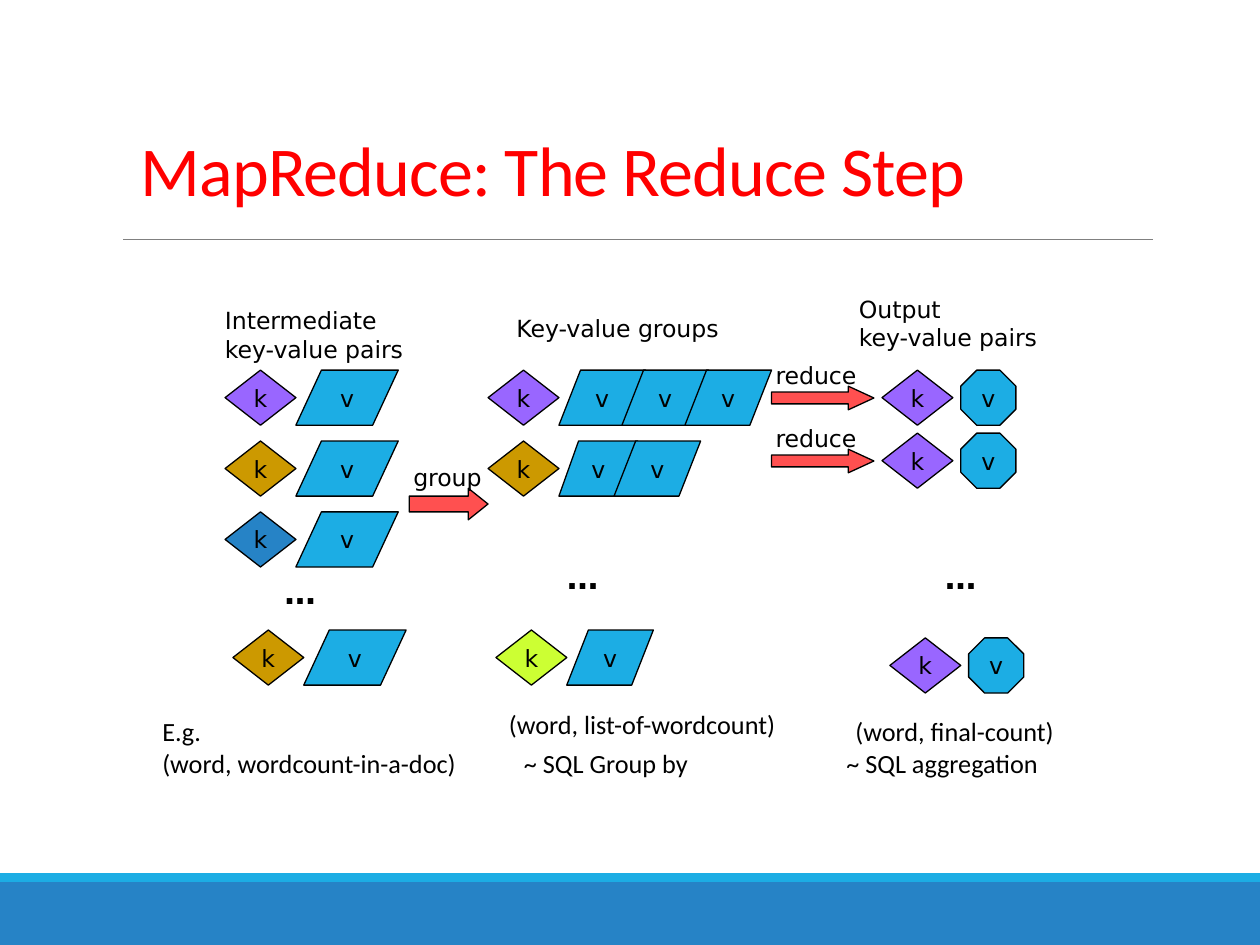
from dataclasses import dataclass

from lxml import etree
from pptx import Presentation
from pptx.dml.color import RGBColor
from pptx.enum.shapes import MSO_CONNECTOR, MSO_SHAPE
from pptx.enum.text import MSO_ANCHOR, MSO_AUTO_SIZE, PP_ALIGN
from pptx.oxml.ns import qn
from pptx.util import Pt

RECT = MSO_SHAPE.RECTANGLE
DIAMOND = MSO_SHAPE.DIAMOND
SLANT = MSO_SHAPE.PARALLELOGRAM
OCTAGON = MSO_SHAPE.OCTAGON
ARROW = MSO_SHAPE.RIGHT_ARROW
STRAIGHT = MSO_CONNECTOR.STRAIGHT
CENTER = PP_ALIGN.CENTER
MIDDLE, BOTTOM = MSO_ANCHOR.MIDDLE, MSO_ANCHOR.BOTTOM
GROW = MSO_AUTO_SIZE.SHAPE_TO_FIT_TEXT


@dataclass(frozen=True)
class Theme:
    blue: str = "2683C6"
    cyan: str = "1CADE4"
    purple: str = "9966FF"
    gold: str = "CC9900"
    lime: str = "CCFF33"
    coral: str = "FF5050"
    red: str = "FF0000"
    black: str = "000000"
    gray: str = "808080"
    body_font: str = "Calibri"
    diagram_font: str = "DejaVu Sans"
    title_size: float = 40
    dots_size: float = 18
    note_size: float = 15
    label_size: float = 13.5


class Slide:
    def __init__(self, s, theme):
        self.s, self.theme = s, theme
        self.label_style = dict(name=theme.diagram_font, size=Pt(theme.label_size))
        self.dots_style = dict(name=theme.diagram_font, size=Pt(theme.dots_size), bold=True)
        self.note_style = dict(name=theme.body_font, size=Pt(theme.note_size))
        self.title_style = dict(name=theme.body_font, size=Pt(theme.title_size))

    def fill_text(self, tf, lines, style, color, **paragraph):
        for i, line in enumerate(lines.split("\n")):
            p = tf.paragraphs[0] if i == 0 else tf.add_paragraph()
            for key, value in paragraph.items():
                setattr(p, key, value)
            r = p.add_run()
            r.text = line
            for key, value in style.items():
                setattr(r.font, key, value)
            r.font.color.rgb = RGBColor.from_string(color)

    def shape(self, kind, x, y, w, h, fill, text="", adj=(), outline=True):
        sp = self.s.shapes.add_shape(kind, Pt(x), Pt(y), Pt(w), Pt(h))
        sp.shadow.inherit = False
        sp.fill.solid()
        sp.fill.fore_color.rgb = RGBColor.from_string(fill)
        if outline:
            sp.line.color.rgb = RGBColor.from_string(self.theme.black)
            sp.line.width = Pt(0.75)
        else:
            sp.line.fill.background()
        for i, value in enumerate(adj):
            sp.adjustments[i] = value
        if text:
            tf = sp.text_frame
            tf.word_wrap, tf.vertical_anchor = False, MIDDLE
            self.fill_text(tf, text, self.label_style, self.theme.black, alignment=CENTER)

    def key(self, x, y, fill):
        self.shape(DIAMOND, x, y, 40.5, 31.5, fill, "k")

    def value(self, x, y, w):
        self.shape(SLANT, x, y, w, 31.5, self.theme.cyan, "v", [w / 126])

    def result(self, x, y):
        self.key(x, y, self.theme.purple)
        self.shape(OCTAGON, x + 45, y, 31.5, 31.5, self.theme.cyan, "v", [0.29])

    def arrow(self, x, y, w, h, text, label_w):
        self.shape(ARROW, x, y, w, h, self.theme.coral, adj=[0.5, w / h / 4])
        self.text(text, x - 4.8, y - 18, label_w, 23.6, self.label_style)

    def text(self, lines, x, y, w, h, style):
        tf = self.s.shapes.add_textbox(Pt(x), Pt(y), Pt(w), Pt(h)).text_frame
        tf.word_wrap, tf.auto_size = False, GROW
        self.fill_text(tf, lines, style, self.theme.black)

    def title(self, text, x, y, w, h):
        tf = self.s.shapes.add_textbox(Pt(x), Pt(y), Pt(w), Pt(h)).text_frame
        tf.word_wrap, tf.vertical_anchor = True, BOTTOM
        self.fill_text(tf, text, self.title_style, self.theme.red, line_spacing=0.85)
        tf.paragraphs[0].runs[0]._r.get_or_add_rPr().set("spc", "-50")

    def rule(self, x1, x2, y):
        line = self.s.shapes.add_connector(STRAIGHT, Pt(x1), Pt(y), Pt(x2), Pt(y))
        line.line.color.rgb = RGBColor.from_string(self.theme.gray)
        line.line.width = Pt(0.5)
        etree.SubElement(line._element.spPr, qn("a:effectLst"))


prs = Presentation()
prs.slide_width, prs.slide_height = Pt(720), Pt(540)
theme = Theme()
slide = Slide(prs.slides.add_slide(prs.slide_layouts[6]), theme)

# Footer bands, title and rule
slide.shape(RECT, 0, 504, 720, 36, theme.blue, outline=False)
slide.shape(RECT, 0, 499, 720, 5, theme.cyan, outline=False)
slide.rule(70.5, 659, 137)
slide.title("MapReduce: The Reduce Step", 73.4, 59.8, 563.8, 64)

ROW_1, ROW_2, ROW_3, LAST_ROW = 211.5, 252, 292.5, 360

# Intermediate pairs
for x, y, color in [(128.6, ROW_1, theme.purple), (128.6, ROW_2, theme.gold),
                    (128.6, ROW_3, theme.blue), (133.1, LAST_ROW, theme.gold)]:
    slide.key(x, y, color)
    slide.value(x + 40.5, y, 58.5)

# Key-value groups: each value is (offset from key, width)
for x, y, color, values in [
    (278.9, ROW_1, theme.purple, [(40.5, 49.5), (76.5, 49.5), (112.5, 49.5)]),
    (278.9, ROW_2, theme.gold, [(40.5, 45), (72, 49.5)]),
    (283.4, LAST_ROW, theme.lime, [(40.5, 49.5)]),
]:
    slide.key(x, y, color)
    for offset, w in values:
        slide.value(x + offset, y, w)

# Output pairs
for x, y in [(504, ROW_1), (504, ROW_1 + 36), (508.5, LAST_ROW + 4.5)]:
    slide.result(x, y)

# Step arrows
slide.arrow(233.9, 279, 45, 18, "group", 54)
for y in (220.7, 256.7):
    slide.arrow(440.9, y, 58.5, 13.5, "reduce", 60.5)

# Ellipses
for x, y in [(155.5, 324), (316.8, 315.4), (532.8, 315.4)]:
    slide.text("…", x, y, 33.8, 28.8, slide.dots_style)

# Column headings
for text, x, y, w, h in [
    ("Intermediate\nkey-value pairs", 121.5, 171.4, 119, 40.3),
    ("Key-value groups", 288, 175.7, 130, 23.8),
    ("Output\nkey-value pairs", 483.8, 164.9, 119, 40.3),
]:
    slide.text(text, x, y, w, h, slide.label_style)

# Examples
for text, x, y, w, h in [
    ("E.g.\n(word, wordcount-in-a-doc)", 85.7, 405.4, 184.3, 43.9),
    ("(word, list-of-wordcount)", 283.7, 401, 169.2, 25.2),
    ("(word, final-count)", 481.7, 405.4, 128.9, 25.2),
    ("~ SQL Group by", 292.3, 423.4, 108.7, 25.2),
    ("~ SQL aggregation", 476.6, 423.4, 124.6, 25.2),
]:
    slide.text(text, x, y, w, h, slide.note_style)

prs.save("out.pptx")
